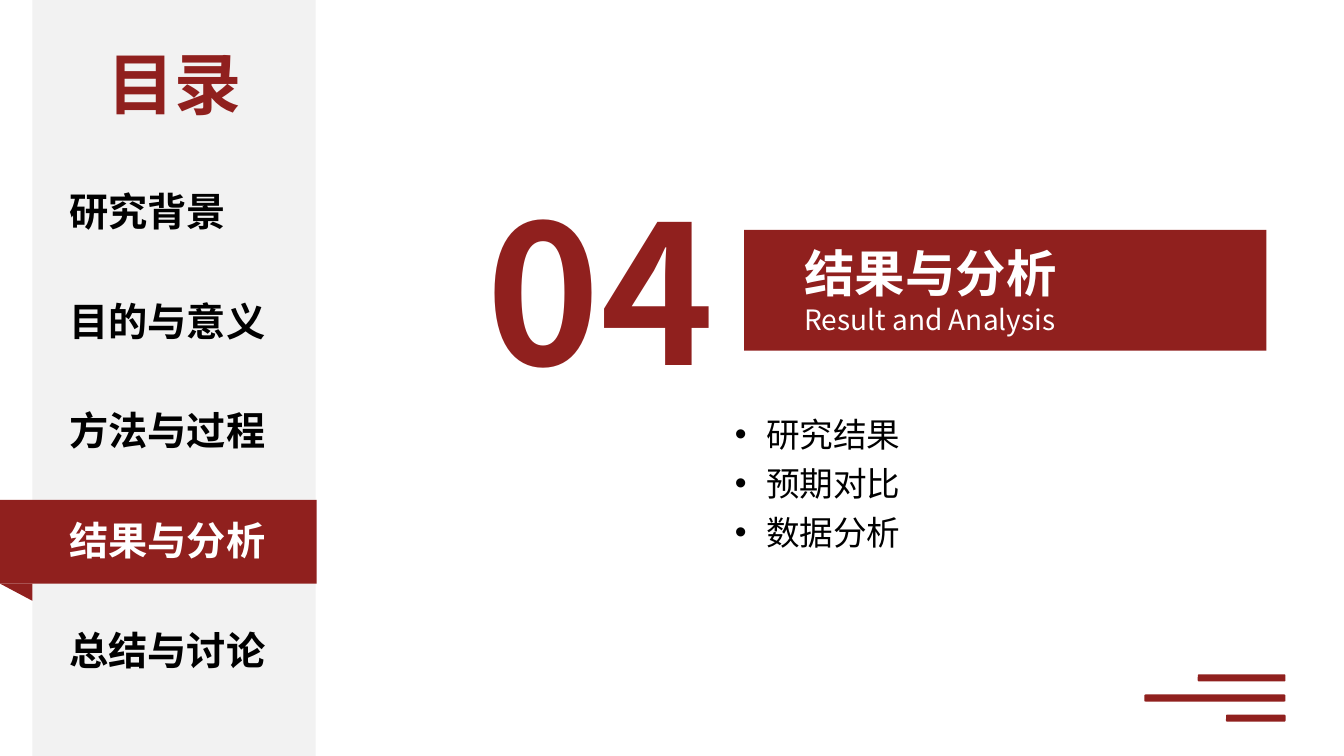
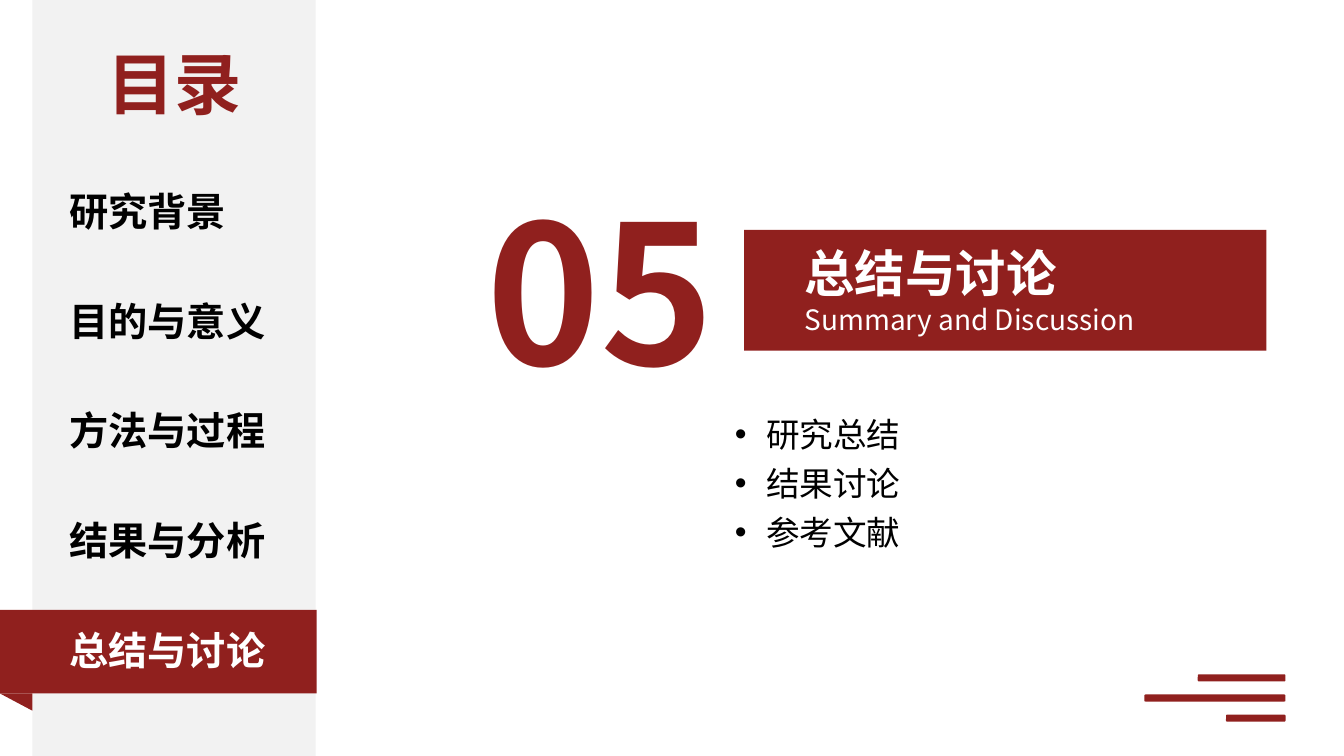
from lxml import etree
from pptx import Presentation
from pptx import util as u
from pptx.dml.color import RGBColor
from pptx.enum import shapes, text
from pptx.oxml import ns

PX = 9144
RED = RGBColor(0x90, 0x20, 0x1E)
GREY = RGBColor(0xF2, 0xF2, 0xF2)
BLACK = RGBColor(0, 0, 0)
WHITE = RGBColor(255, 255, 255)
FONT = "Noto Sans CJK SC"
KIND = shapes.MSO_SHAPE
LEFT, MID = text.PP_ALIGN.LEFT, text.PP_ALIGN.CENTER

TOPICS = ["研究背景", "目的与意义", "方法与过程", "结果与分析", "总结与讨论"]
PARTS = [
    (4, "Result and Analysis", ["研究结果", "预期对比", "数据分析"]),
    (5, "Summary and Discussion", ["研究总结", "结果讨论", "参考文献"]),
]
BARS = [(669, 87), (689, 140), (709, 59)]


def draw(slide, kind, box, fill):
    item = slide.shapes.add_shape(kind, *[n * PX for n in box])
    item.shadow.inherit = False
    item.fill.solid()
    item.fill.fore_color.rgb = fill
    item.line.fill.background()
    return item


def write(slide, box, lines, color, align=LEFT, bullet=False):
    frame = slide.shapes.add_textbox(*[n * PX for n in box]).text_frame
    frame.word_wrap = True
    frame.auto_size = text.MSO_AUTO_SIZE.SHAPE_TO_FIT_TEXT
    for i, (words, size, bold) in enumerate(lines):
        para = frame.add_paragraph() if i else frame.paragraphs[0]
        para.text = words
        para.alignment = align
        props = para._p.get_or_add_pPr()
        if bullet:
            para.line_spacing = u.Pt(35)
            props.set("marL", str(31 * PX))
            props.set("indent", str(-31 * PX))
            etree.SubElement(props, ns.qn("a:buFont")).set("typeface", "Arial")
            etree.SubElement(props, ns.qn("a:buChar")).set("char", "•")
        font = para.font
        font.size = u.Pt(size)
        font.bold = bold
        font.color.rgb = color
        font.name = FONT
        base = props.find(ns.qn("a:defRPr"))
        etree.SubElement(base, ns.qn("a:ea")).set("typeface", FONT)


deck = Presentation()
deck.slide_width = 1333 * PX
deck.slide_height = 750 * PX

for num, sub, points in PARTS:
    slide = deck.slides.add_slide(deck.slide_layouts[6])
    draw(slide, KIND.RECTANGLE, (738, 228, 518, 120), RED)
    draw(slide, KIND.RECTANGLE, (32, 0, 281, 750), GREY)
    write(slide, (76, 37, 194, 91), [("目录", 48, True)], RED, MID)

    for i, topic in enumerate(TOPICS):
        top = 181 + round(108.7 * i)
        active = i == num - 1
        if active:
            draw(slide, KIND.RECTANGLE, (0, top - 11, 314, 83), RED)
            fold = draw(slide, KIND.RIGHT_TRIANGLE, (0, top + 72, 32, 17), RED)
            fold.rotation = 180
        write(slide, (59, top, 221, 57), [(topic, 28, True)], WHITE if active else BLACK)

    write(slide, (435, 166, 322, 242), [(f"{num:02}", 138, True)], RED, MID)
    heads = [(TOPICS[num - 1], 36, True), (sub, 20, False)]
    write(slide, (788, 235, 450, 104), heads, WHITE)
    items = [(point, 24, False) for point in points]
    write(slide, (719, 397, 444, 202), items, BLACK, bullet=True)

    for top, wide in BARS:
        draw(slide, KIND.ROUNDED_RECTANGLE, (1275 - wide, top, wide, 7), RED)

deck.save("out.pptx")
